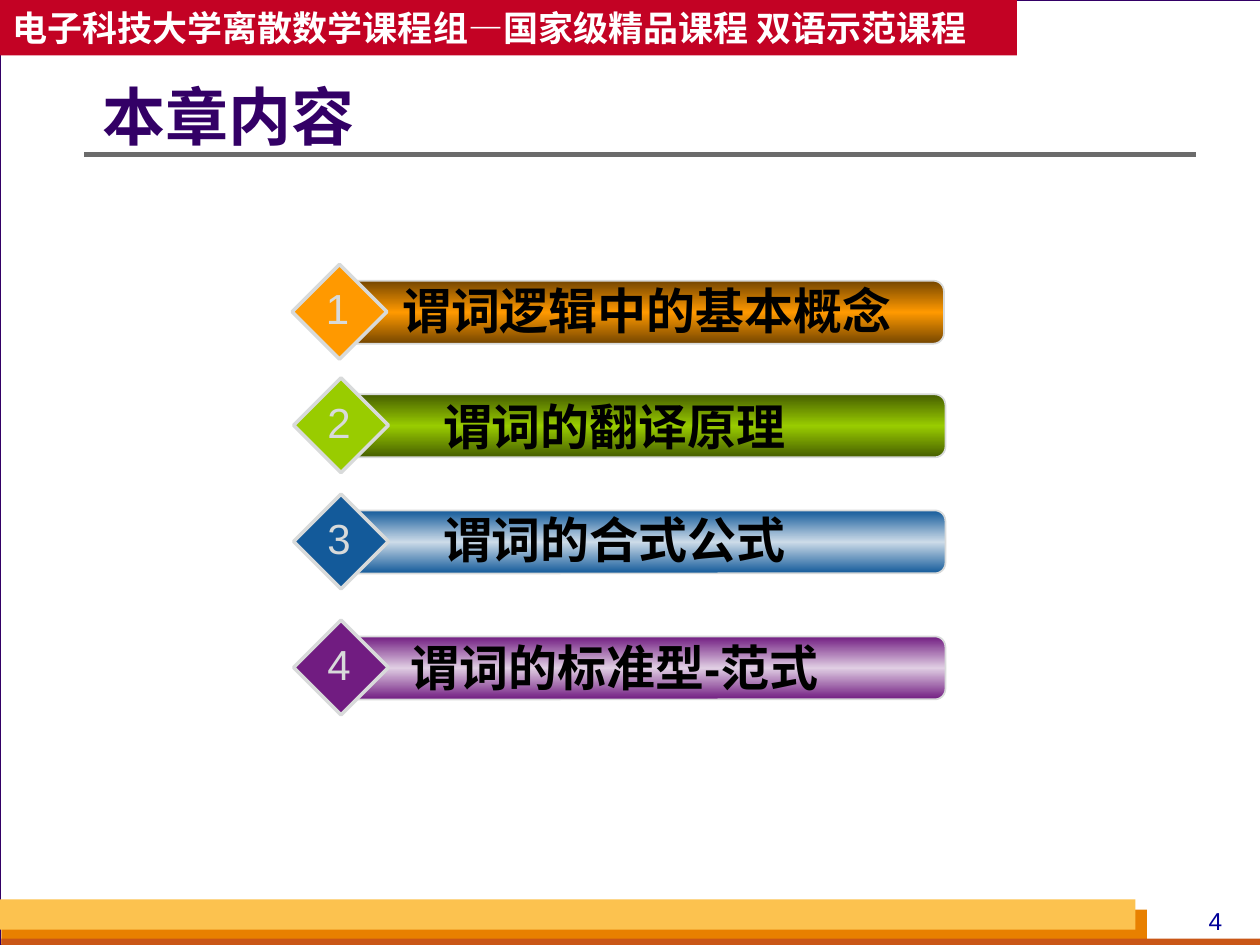
from copy import deepcopy
from lxml.etree import SubElement as Sub
from pptx import Presentation
from pptx.dml.color import RGBColor as RGB
from pptx.enum.shapes import MSO_CONNECTOR as LINE, MSO_SHAPE as SHAPE
from pptx.enum.text import MSO_ANCHOR as ANCHOR, PP_ALIGN as ALIGN
from pptx.oxml.ns import qn
from pptx.util import Cm, Pt

HAN = "Noto Sans CJK SC"
GREY = "D8DADA"
hue = RGB.from_string


def draw(shapes, kind, box, fill, line=None, wide=1):
    """Add a preset shape, or a text box when kind is None."""
    place = [Cm(n) for n in box]
    if kind is None:
        return shapes.add_textbox(*place)
    item = shapes.add_shape(kind, *place)
    item.shadow.inherit = False
    item.fill.solid()
    item.fill.fore_color.rgb = hue(fill)
    if line:
        item.line.color.rgb = hue(line)
        item.line.width = Pt(wide)
    else:
        item.line.fill.background()
    return item


def write(item, text, size, color, font="Arial", bold=False,
          align=ALIGN.CENTER, anchor=ANCHOR.TOP, wrap=True):
    frame = item.text_frame
    frame.word_wrap = wrap
    frame.vertical_anchor = anchor
    frame.text = text
    para = frame.paragraphs[0]
    para.alignment = align
    run = para.runs[0]
    run.font.size = Pt(size)
    run.font.bold = bold
    run.font.name = font
    run.font.color.rgb = hue(color)
    Sub(run.font._element, qn("a:ea"), typeface=HAN)
    return frame


deck = Presentation()
deck.slide_width, deck.slide_height = Cm(25.4), Cm(19.05)
slide = deck.slides.add_slide(deck.slide_layouts[6])
slide.background.fill.solid()
slide.background.fill.fore_color.rgb = hue(GREY)
top = slide.shapes

# Page and footer bands
draw(top, SHAPE.RECTANGLE, (0, 0, 25.43, 19.05), "FFFFFF", "330066", 0.75)
for box, fill in (
    ((0.03, 18.34, 23.09, 0.71), "E88000"),
    ((0.03, 18.92, 25.4, 0.2), "C95616"),
    ((0, 18.13, 22.89, 0.61), "FCC24F"),
):
    draw(top, SHAPE.RECTANGLE, box, fill)

# Page number
page = draw(top, None, (23.7, 18.13, 1.6, 0.86), None)
write(page, "4", 14, "000099")

# Rule under the title
rule = top.add_connector(LINE.STRAIGHT, Cm(1.7), Cm(3.12), Cm(24.1), Cm(3.12))
rule.line.color.rgb = hue("6B6B6B")
rule.line.width = Pt(3)
Sub(rule._element.spPr, qn("a:effectLst"))

# Course banner
band = draw(top, SHAPE.RECTANGLE, (0, 0, 20.5, 1.12), "C30224")
write(band, "电子科技大学离散数学课程组—国家级精品课程 双语示范课程", 20,
      "FFFFFF", HAN, True, ALIGN.LEFT, ANCHOR.MIDDLE)

# Title
title = draw(top, None, (2.06, 1.14, 22.05, 2.57), None)
frame = write(title, "本章内容", 36, "330066", HAN, True, ALIGN.LEFT,
              ANCHOR.MIDDLE)
frame.margin_left = 0
frame.paragraphs[0].line_spacing = 0.9

# Chapter list: text, left, top, text rise, text width, edge, middle, diamond
items = (
    ("谓词逻辑中的基本概念", 6.96, 5.66, 0.13, 10.9, "754600", "FF9900", "FF9900"),
    ("谓词的翻译原理", 6.99, 7.95, 0.08, 9.53, "465E00", "99CC00", "99CC00"),
    ("谓词的合式公式", 6.99, 10.29, 0.15, 9.53, "135A9A", "CCDBE8", "135A9A"),
    ("谓词的标准型-范式", 6.99, 12.83, 0.1, 9.53, "711C81", "E0CEE3", "711C81"),
)
for num, (text, x, y, rise, wide, edge, mid, gem) in enumerate(items, 1):
    group = top.add_group_shape().shapes

    # Bar shaded from edge to middle and back
    bar = draw(group, SHAPE.ROUNDED_RECTANGLE, (x, y, 12.07, 1.27), edge, GREY)
    bar.adjustments[0] = 0.167
    bar.fill.gradient()
    bar.fill.gradient_angle = 270
    stops = bar._element.spPr.find(".//" + qn("a:gsLst"))
    stops.insert(1, deepcopy(stops[0]))
    for stop, pos, color in zip(bar.fill.gradient_stops, (0, 0.5, 1),
                                (edge, mid, edge)):
        stop.position = pos
        stop.color.rgb = hue(color)

    # Diamond, label and number
    draw(group, SHAPE.DIAMOND, (x - 1.07, y - 0.33, 1.91, 1.91), gem, GREY, 2)
    label = draw(group, None, (x + 0.63, y - rise, wide, 1.45), None)
    write(label, text, 28, "000000", bold=True)
    mark = draw(group, None, (x - 0.64, y - 0.08, 0.97, 1.27), None)
    write(mark, str(num), 24, GREY, wrap=False)

deck.save("out.pptx")
